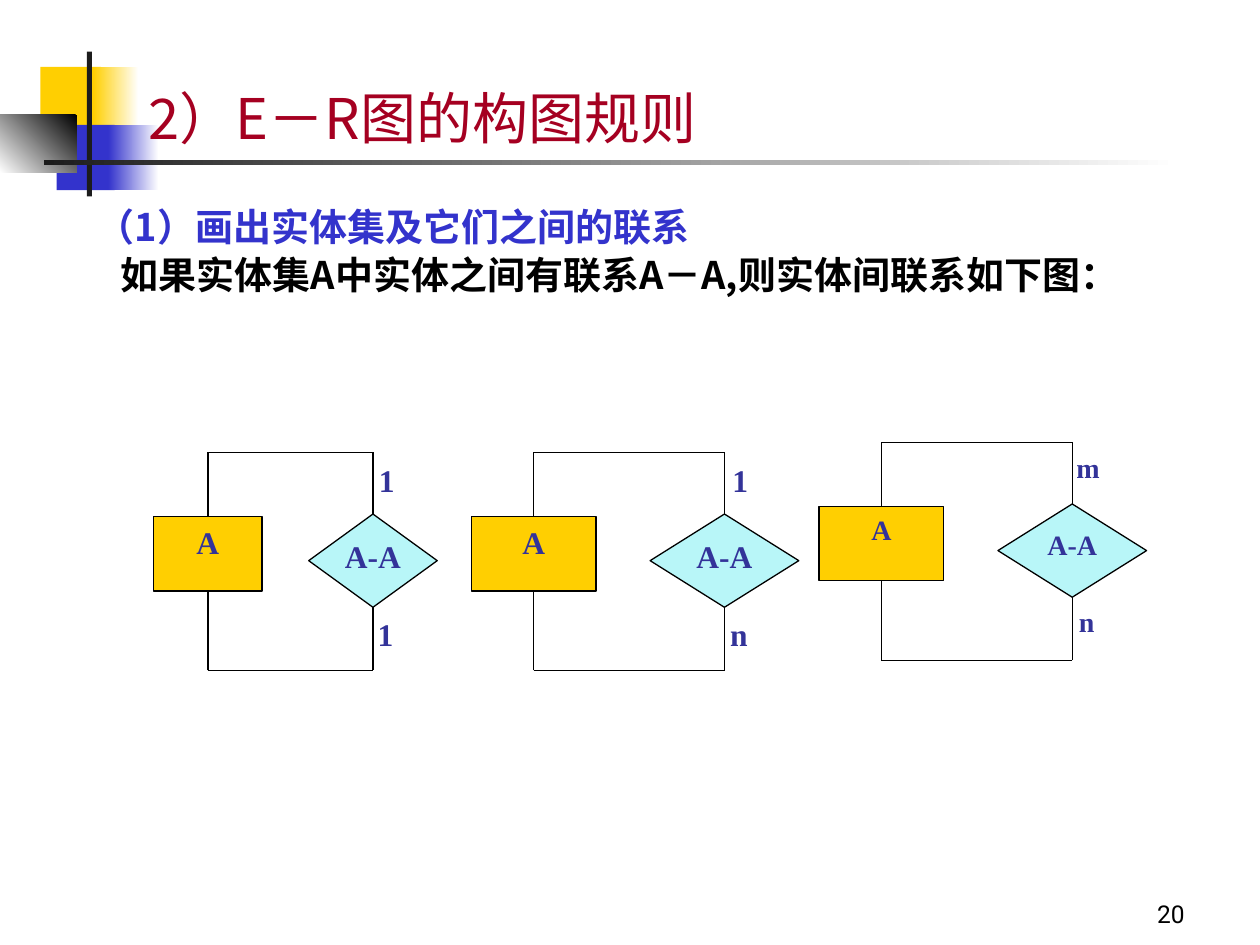
from lxml.etree import SubElement
from pptx import Presentation
from pptx.dml.color import RGBColor
from pptx.enum.shapes import MSO_CONNECTOR, MSO_SHAPE
from pptx.enum.text import MSO_ANCHOR, PP_ALIGN
from pptx.oxml.ns import qn
from pptx.util import Inches, Pt

COLORS = {
    "gold": "FFCF01", "blue": "3333CC", "white": "FFFFFF", "black": "000000",
    "dark": "1C1C1C", "red": "A50021", "cyan": "B8F6F8", "label": "333399",
}
CJK_FONT = "Noto Sans CJK SC"
SERIF_FONT = "Times New Roman"


def color(name):
    """Return the named colour."""
    return RGBColor.from_string(COLORS[name])


def write(para, text, name, size, ink, bold=False):
    """Add one formatted span to a paragraph."""
    span = para.add_run()
    span.text = text
    for key, value in {"name": name, "size": Pt(size), "bold": bold}.items():
        setattr(span.font, key, value)
    span.font.color.rgb = color(ink)
    if name == CJK_FONT:
        SubElement(span.font._element, qn("a:ea"), typeface=name)


def set_frame(shape, inset=(0.1, 0.05), anchor=MSO_ANCHOR.TOP):
    """Set wrapping, margins and anchor, and return the text frame."""
    across, down = map(Inches, inset)
    frame = shape.text_frame
    values = {
        "word_wrap": True, "vertical_anchor": anchor,
        "margin_left": across, "margin_right": across,
        "margin_top": down, "margin_bottom": down,
    }
    for key, value in values.items():
        setattr(frame, key, value)
    return frame


def add_text_box(page, box, **frame_values):
    """Add a text box and return its frame."""
    return set_frame(page.shapes.add_textbox(*map(Inches, box)), **frame_values)


def add_block(page, kind, box, fill):
    """Add a shape with a solid fill and no shadow."""
    block = page.shapes.add_shape(kind, *map(Inches, box))
    block.shadow.inherit = False
    block.fill.solid()
    block.fill.fore_color.rgb = color(fill)
    return block


def add_decoration(page, left, top):
    """Draw the corner squares and rules from a top-left point."""
    parts = [
        ((0.32, 0.12, 0.48, 0.52), ("gold",), 0),
        ((0.74, 0.12, 0.36, 0.52), ("white", "gold"), 180),
        ((0.45, 0.58, 0.46, 0.52), ("blue",), 0),
        ((0.86, 0.58, 0.4, 0.52), ("white", "blue"), 180),
        ((0, 0.5, 0.61, 0.46), ("black", "white"), 225),
        ((0.69, 0, 0.04, 1.15), ("dark",), 0),
        ((0.35, 0.86, 9, 0.04), ("white", "dark"), 180),
    ]
    for (x, y, width, height), fills, angle in parts:
        box = (left + x, top + y, width, height)
        block = add_block(page, MSO_SHAPE.RECTANGLE, box, fills[0])
        block.line.fill.background()
        if len(fills) > 1:
            block.fill.gradient()
            block.fill.gradient_angle = angle
            for stop, name in zip(block.fill.gradient_stops, fills):
                stop.color.rgb = color(name)


def add_title(page, box):
    """Place and format the title placeholder above the decoration."""
    title = page.shapes.title
    title.left, title.top, title.width, title.height = map(Inches, box)
    para = set_frame(title, anchor=MSO_ANCHOR.BOTTOM).paragraphs[0]
    para.alignment = PP_ALIGN.LEFT
    write(para, "2）E－R图的构图规则", CJK_FONT, 32, "red")
    title._element.getparent().append(title._element)


def add_body(page, box):
    """Write the heading and the sentence with hanging indents."""
    frame = add_text_box(page, box)
    lines = [
        ("（1）画出实体集及它们之间的联系", "blue", -0.38),
        ("如果实体集A中实体之间有联系A－A,则实体间联系如下图：", "black", -0.19),
    ]
    for index, (text, ink, indent) in enumerate(lines):
        para = frame.add_paragraph() if index else frame.paragraphs[0]
        para.alignment = PP_ALIGN.JUSTIFY
        para.line_spacing = 1.05
        margins = para._p.get_or_add_pPr()
        margins.set("marL", str(Inches(0.38)))
        margins.set("indent", str(Inches(indent)))
        margins.set("hangingPunct", "0")
        write(para, text, CJK_FONT, 21.7, ink, True)


def add_page_number(page, box):
    """Write the slide number at the bottom right."""
    para = add_text_box(page, box, anchor=MSO_ANCHOR.BOTTOM).paragraphs[0]
    para.alignment = PP_ALIGN.RIGHT
    write(para, "20", "Roboto", 14, "black")


def add_node(page, kind, box, fill, text, size, inset):
    """Draw an outlined entity or relationship with its name."""
    node = add_block(page, kind, box, fill)
    node.line.color.rgb = color("black")
    node.line.width = Pt(0.75)
    write_label(set_frame(node, inset), text, size)
    return node


def write_label(frame, text, size):
    """Write a centred diagram label."""
    para = frame.paragraphs[0]
    para.alignment = PP_ALIGN.CENTER
    write(para, text, SERIF_FONT, size, "label", True)


def add_line(page, start, end):
    """Draw a thin black connector between two points."""
    points = map(Inches, (*start, *end))
    line = page.shapes.add_connector(MSO_CONNECTOR.STRAIGHT, *points)
    line.line.color.rgb = color("black")
    line.line.width = Pt(0.75)
    SubElement(line._element.spPr, qn("a:effectLst"))
    return line


def add_loop(page, box, entity_width, diamond_width, label_width, labels, size):
    """Draw an entity looped to its own relationship inside a box."""
    left, top, width, height = box
    right, bottom = left + width, top + height
    diamond_left = right - diamond_width
    entity = add_node(
        page, MSO_SHAPE.RECTANGLE, (left, top + 0.51, entity_width, 0.59),
        "gold", "A", size, (0.1, 0.05))
    relation = add_node(
        page, MSO_SHAPE.DIAMOND, (diamond_left, top + 0.49, diamond_width, 0.74),
        "cyan", "A-A", size, (0, 0))
    entity_axis = left + entity_width / 2
    relation_axis = diamond_left + diamond_width / 2
    for node, axis in ((entity, entity_axis), (relation, relation_axis)):
        for side, level in ((0, top), (2, bottom)):
            line = add_line(page, (axis, level), (axis, level))
            line.end_connect(node, side)
    for level in (top, bottom):
        add_line(page, (entity_axis, level), (relation_axis, level))
    places = ((0.01, 0.07), (0, 1.29))
    for text, (x, y) in zip(labels, places):
        spot = (relation_axis + x, top + y, label_width, 0.3)
        write_label(add_text_box(page, spot, inset=(0, 0)), text, size)


def main():
    """Build the slide and save it."""
    deck = Presentation()
    deck.slide_width, deck.slide_height = Inches(10), Inches(7.5)
    page = deck.slides.add_slide(deck.slide_layouts[5])
    add_decoration(page, 0, 0.41)
    add_title(page, (1.08, 0.42, 8.52, 0.83))
    add_body(page, (0.67, 1.55, 8.66, 1))
    add_loop(page, (1.22, 3.59, 2.25, 1.73), 0.86, 1.02, 0.2, "11", 18)
    add_loop(page, (3.74, 3.59, 2.6, 1.73), 0.99, 1.18, 0.23, "1n", 18)
    add_loop(page, (6.5, 3.51, 2.6, 1.73), 0.99, 1.18, 0.23, "mn", 16)
    add_page_number(page, (7.42, 6.92, 2.08, 0.5))
    deck.save("out.pptx")


if __name__ == "__main__":
    main()
